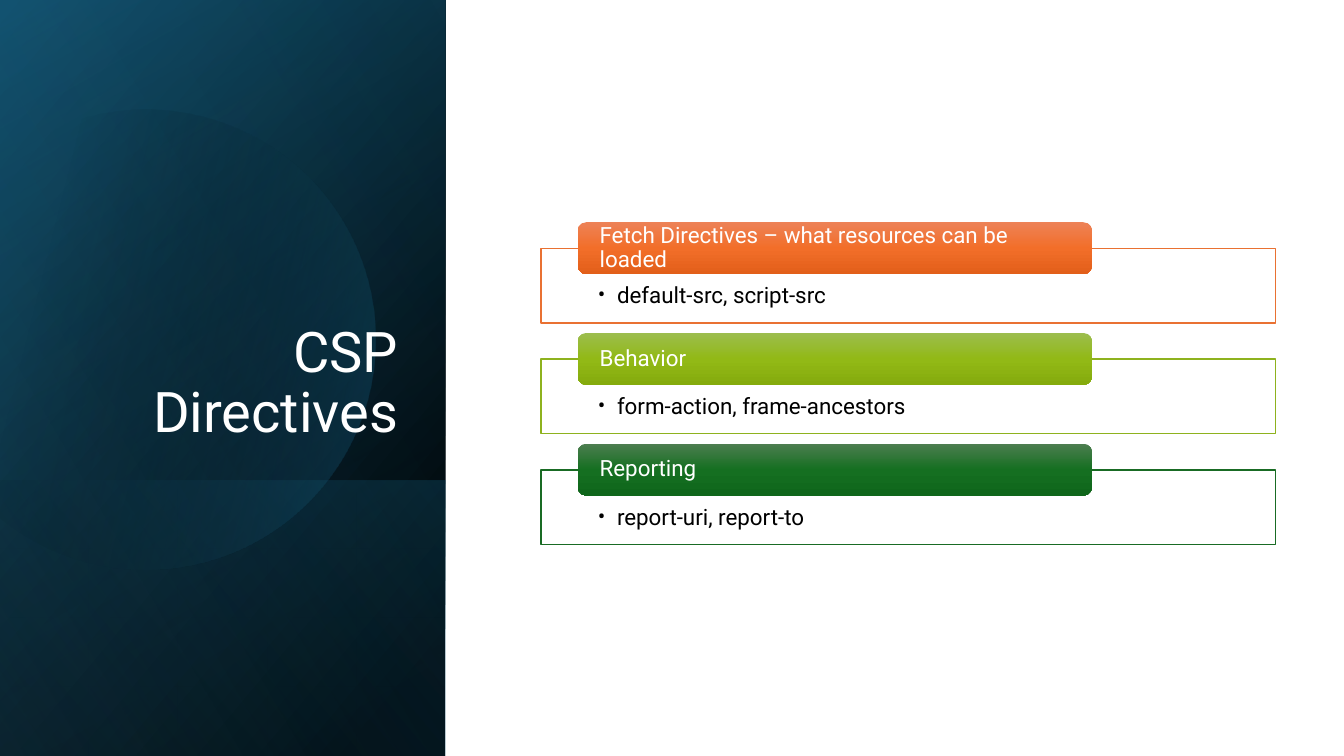
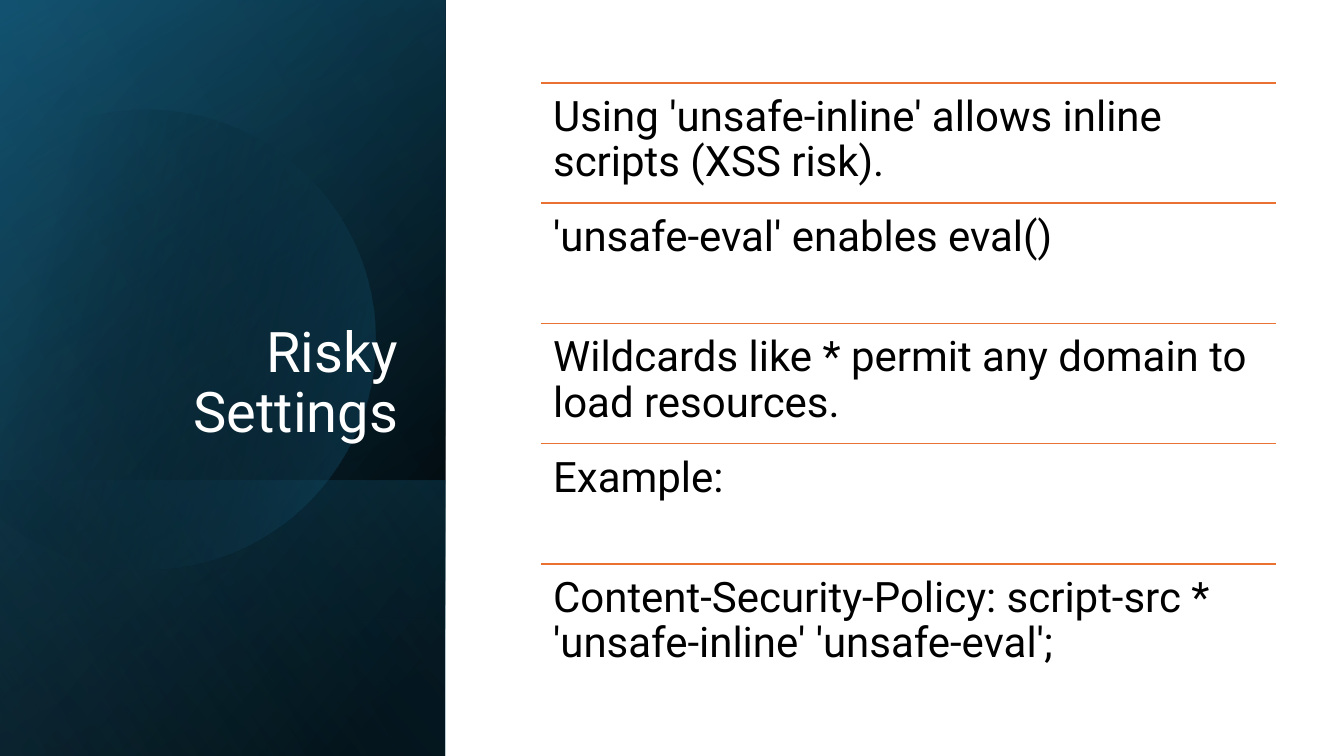
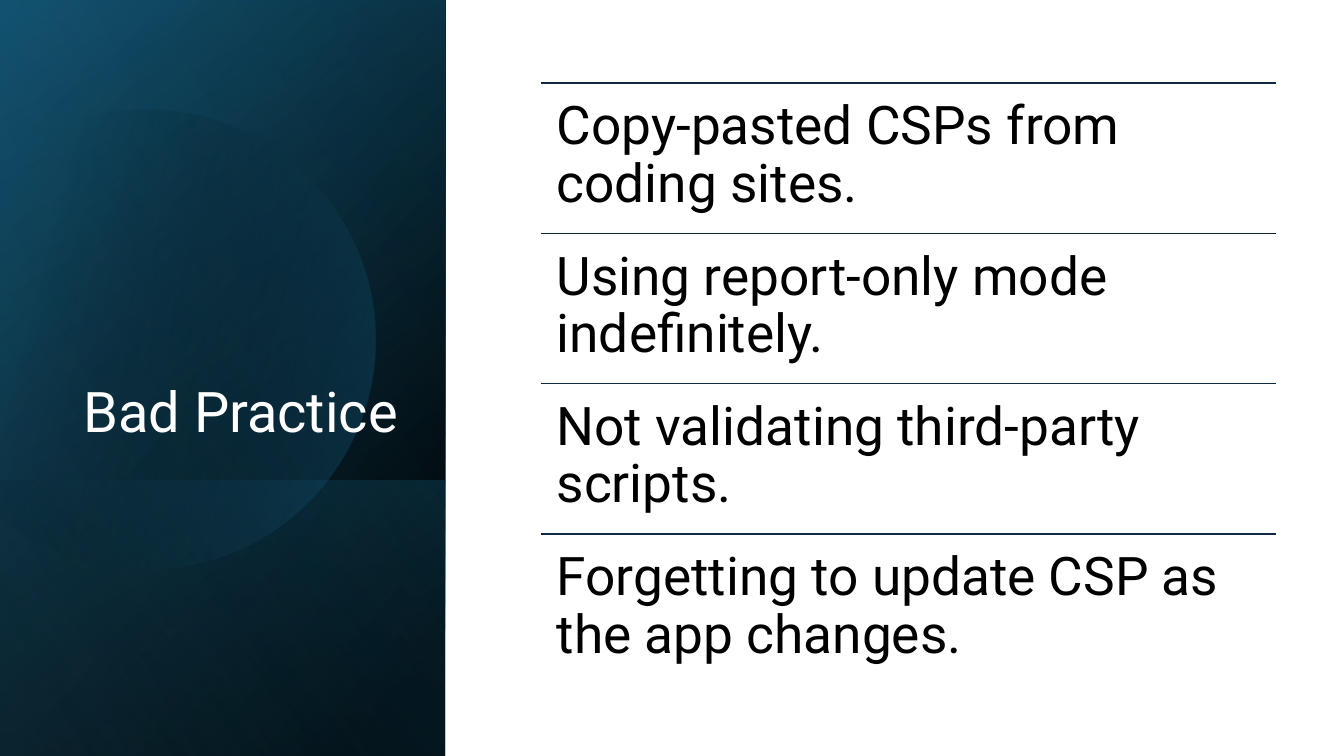
from pptx import Presentation
from pptx.dml.color import RGBColor
from pptx.enum import shapes, text
from pptx.oxml import parse_xml
from pptx.oxml.ns import nsdecls, qn
from pptx.util import Cm, Pt

COLORS = {
    "white": "FFFFFF",
    "black": "000000",
    "teal": "156082",
    "deep_teal": "104862",
    "sky": "46B1E1",
    "orange": "E97132",
    "lime": "8EB21E",
    "green": "196B24",
    "navy": "0E2841",
}
FONT = "Roboto"
HEIGHT = 19.05
PANEL_WIDTH = 11.22
CONTENT_LEFT, CONTENT_WIDTH = 13.63, 18.52
ROWS_TOP, ROWS_HEIGHT = 2.09, 15.15


def fill_gradient(shape, stops, angle):
    """Fill with (position %, hex colour, opacity %) stops and no outline."""
    stop_xml = "".join(
        f'<a:gs pos="{position * 1000}"><a:srgbClr val="{color}">'
        f'<a:alpha val="{opacity * 1000}"/></a:srgbClr></a:gs>'
        for position, color, opacity in stops
    )
    gradient = parse_xml(
        f'<a:gradFill {nsdecls("a")} rotWithShape="1"><a:gsLst>{stop_xml}</a:gsLst>'
        f'<a:lin ang="{angle * 60000}" scaled="0"/></a:gradFill>'
    )
    shape.shadow.inherit = False
    shape.line.fill.background()
    shape.fill.background()
    properties = shape.element.spPr
    properties.replace(properties.find(qn("a:noFill")), gradient)


def write_text(shape, content, size, color="black", align=text.PP_ALIGN.LEFT,
               anchor=text.MSO_ANCHOR.TOP, insets=(0.25, 0.13, 0.25, 0.13), bullet=False):
    """Write one paragraph; insets are left, top, right, bottom in cm."""
    frame = shape.text_frame
    frame.word_wrap = True
    frame.auto_size = text.MSO_AUTO_SIZE.NONE
    frame.vertical_anchor = anchor
    frame.margin_left, frame.margin_top, frame.margin_right, frame.margin_bottom = map(Cm, insets)
    paragraph = frame.paragraphs[0]
    paragraph.alignment = align
    paragraph.line_spacing = 0.9
    run = paragraph.add_run()
    run.text = content
    run.font.name = FONT
    run.font.size = Pt(size)
    run.font.color.rgb = RGBColor.from_string(COLORS[color])
    if bullet:
        properties = paragraph._p.get_or_add_pPr()
        properties.set("marL", str(Cm(0.48)))
        properties.set("indent", str(-Cm(0.48)))
        properties.append(parse_xml(f'<a:buFont {nsdecls("a")} typeface="{FONT}"/>'))
        properties.append(parse_xml(f'<a:buChar {nsdecls("a")} char="•"/>'))


presentation = Presentation()
presentation.slide_width = Cm(33.87)
presentation.slide_height = Cm(HEIGHT)

# Title-only layout: keep just the title, set over the side panel
layout = presentation.slide_layouts[5]
for placeholder in list(layout.placeholders):
    if placeholder.placeholder_format.type == shapes.PP_PLACEHOLDER.TITLE:
        placeholder.left, placeholder.top = Cm(1.62), Cm(4.69)
        placeholder.width, placeholder.height = Cm(8.66), Cm(6.65)
    else:
        layout.shapes.element.remove(placeholder.element)

titles = ["CSP Directives", "Risky Settings", "Bad Practice"]
slides = []
for title in titles:
    slide = presentation.slides.add_slide(layout)
    write_text(slide.shapes.title, title, 40, "white",
               align=text.PP_ALIGN.RIGHT, anchor=text.MSO_ANCHOR.BOTTOM)
    slides.append(slide)
directives_slide, risky_slide, practice_slide = slides

# Side panel: four washes turned a quarter, with a cut circle below the last
black, teal = COLORS["black"], COLORS["teal"]
washes = [
    (0, [(8, black, 100), (100, COLORS["deep_teal"], 100)], 50),
    (0, [(0, black, 0), (99, teal, 46)], 30),
    (12.1, [(2, teal, 29), (100, black, 30)], 130),
    (0, [(0, black, 0), (99, COLORS["sky"], 11)], 120),
]
panel_shapes = []
for top, stops, angle in washes:
    length = HEIGHT - top
    wash = directives_slide.shapes.add_shape(
        shapes.MSO_SHAPE.RECTANGLE,
        Cm((PANEL_WIDTH - length) / 2), Cm(top + (length - PANEL_WIDTH) / 2),
        Cm(length), Cm(PANEL_WIDTH))
    wash.rotation = 90
    wash.element.spPr.find(qn("a:xfrm")).set("flipH", "1")
    fill_gradient(wash, stops, angle)
    panel_shapes.append(wash)

cut_circle = directives_slide.shapes.add_shape(
    shapes.MSO_SHAPE.CHORD, Cm(-2.14), Cm(2.75), Cm(11.6), Cm(11.6))
# Chord angles count in 60000ths of a degree, adjustments in 100000ths
cut_circle.adjustments[0] = 226 * 0.6
cut_circle.adjustments[1] = 134 * 0.6
fill_gradient(cut_circle, [(29, black, 0), (100, teal, 43)], 14)
panel_shapes.insert(3, cut_circle)

# The panel belongs to the layout, so every slide shows it
for shape in panel_shapes:
    layout.shapes.element.append(shape.element)

# Slide 1: framed examples, each with a heading tab
directives = [
    ("Fetch Directives – what resources can be loaded", "default-src, script-src",
     "orange", ("ED8257", "F26E29", "E25F1A")),
    ("Behavior", "form-action, frame-ancestors", "lime", ("9CBD4E", "92B916", "85AB0D")),
    ("Reporting", "report-uri, report-to", "green", ("4D7E50", "156F21", "0F661B")),
]
for index, (heading, examples, color, shades) in enumerate(directives):
    top = 6.26 + 2.79 * index
    frame = directives_slide.shapes.add_shape(
        shapes.MSO_SHAPE.RECTANGLE, Cm(CONTENT_LEFT), Cm(top), Cm(CONTENT_WIDTH), Cm(1.88))
    frame.shadow.inherit = False
    frame.fill.solid()
    frame.fill.fore_color.rgb = RGBColor.from_string(COLORS["white"])
    frame.line.color.rgb = RGBColor.from_string(COLORS[color])
    frame.line.width = Pt(1)
    write_text(frame, examples, 16, insets=(1.44, 0.91, 1.44, 0.3), bullet=True)

    tab = directives_slide.shapes.add_shape(
        shapes.MSO_SHAPE.ROUNDED_RECTANGLE,
        Cm(CONTENT_LEFT + 0.93), Cm(top - 0.66), Cm(12.96), Cm(1.31))
    fill_gradient(tab, [(50 * step, shade, 100) for step, shade in enumerate(shades)], 90)
    write_text(tab, heading, 16, "white", anchor=text.MSO_ANCHOR.MIDDLE,
               insets=(0.49, 0, 0.49, 0))

# Slides 2 and 3: equal rows, each under a rule
ruled_lists = [
    (risky_slide, "orange", 30, 0.31, [
        "Using 'unsafe-inline' allows inline scripts (XSS risk).",
        "'unsafe-eval' enables eval()",
        "Wildcards like * permit any domain to load resources.",
        "Example:",
        "Content-Security-Policy: script-src * 'unsafe-inline' 'unsafe-eval';",
    ]),
    (practice_slide, "navy", 38, 0.4, [
        "Copy-pasted CSPs from coding sites.",
        "Using report-only mode indefinitely.",
        "Not validating third-party scripts.",
        "Forgetting to update CSP as the app changes.",
    ]),
]
for slide, color, size, inset, statements in ruled_lists:
    row_height = ROWS_HEIGHT / len(statements)
    for index, statement in enumerate(statements):
        top = Cm(ROWS_TOP + row_height * index)
        rule = slide.shapes.add_connector(
            shapes.MSO_CONNECTOR.STRAIGHT,
            Cm(CONTENT_LEFT), top, Cm(CONTENT_LEFT + CONTENT_WIDTH), top)
        rule.line.color.rgb = RGBColor.from_string(COLORS[color])
        rule.line.width = Pt(1)
        rule.element.spPr.append(parse_xml(f'<a:effectLst {nsdecls("a")}/>'))
        row = slide.shapes.add_textbox(
            Cm(CONTENT_LEFT), top, Cm(CONTENT_WIDTH), Cm(row_height))
        write_text(row, statement, size, insets=(inset,) * 4)

presentation.save("out.pptx")
